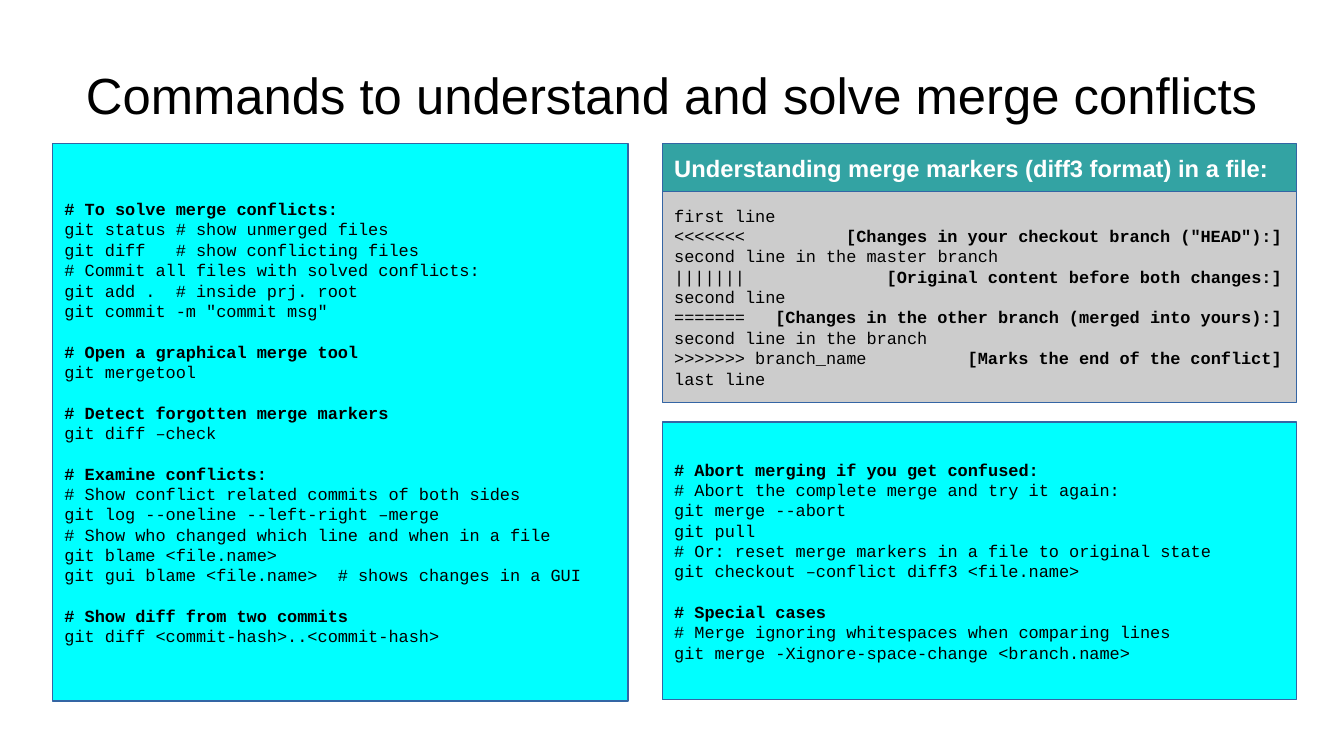
from lxml.etree import SubElement
from pptx import Presentation
from pptx.dml.color import RGBColor
from pptx.enum.shapes import MSO_SHAPE
from pptx.enum.text import MSO_ANCHOR, PP_ALIGN
from pptx.oxml.ns import qn
from pptx.util import Inches, Pt

BLACK = RGBColor(0x00, 0x00, 0x00)
WHITE = RGBColor(0xFF, 0xFF, 0xFF)
CYAN = RGBColor(0x00, 0xFF, 0xFF)
TEAL = RGBColor(0x33, 0xA3, 0xA3)
GREY = RGBColor(0xCC, 0xCC, 0xCC)
BLUE = RGBColor(0x34, 0x65, 0xA4)

# Each group: a bold heading and its commands
SOLVE = [
    ("# To solve merge conflicts:", [
        "git status # show unmerged files",
        "git diff   # show conflicting files",
        "# Commit all files with solved conflicts:",
        "git add .  # inside prj. root",
        'git commit -m "commit msg"']),
    ("# Open a graphical merge tool", ["git mergetool"]),
    ("# Detect forgotten merge markers", ["git diff –check"]),
    ("# Examine conflicts:", [
        "# Show conflict related commits of both sides",
        "git log --oneline --left-right –merge",
        "# Show who changed which line and when in a file",
        "git blame <file.name>",
        "git gui blame <file.name>  # shows changes in a GUI"]),
    ("# Show diff from two commits", ["git diff <commit-hash>..<commit-hash>"]),
]
ABORT = [
    ("# Abort merging if you get confused:", [
        "# Abort the complete merge and try it again:",
        "git merge --abort",
        "git pull",
        "# Or: reset merge markers in a file to original state",
        "git checkout –conflict diff3 <file.name>"]),
    ("# Special cases", [
        "# Merge ignoring whitespaces when comparing lines",
        "git merge -Xignore-space-change <branch.name>"]),
]
# Each line of the sample file and its note
MARKS = [
    ("first line", ""),
    ("<<<<<<<", '[Changes in your checkout branch ("HEAD"):]'),
    ("second line in the master branch", ""),
    ("|||||||", "[Original content before both changes:]"),
    ("second line", ""),
    ("=======", "[Changes in the other branch (merged into yours):]"),
    ("second line in the branch", ""),
    (">>>>>>> branch_name", "[Marks the end of the conflict]"),
    ("last line", ""),
]


class Deck:
    sans, mono = "Arial", "Courier New"
    code, gap = Pt(10), Pt(12)

    def __init__(self, width, height):
        self.prs = Presentation()
        self.prs.slide_width = Inches(width)
        self.prs.slide_height = Inches(height)
        self.slide = self.prs.slides.add_slide(self.prs.slide_layouts[6])

    def run(self, para, text, face, size, color=BLACK, bold=False):
        run = para.add_run()
        run.text = text
        font = run.font
        font.name, font.size, font.bold = face, size, bold
        font.color.rgb = color

    def line(self, frame, first):
        para = frame.paragraphs[0] if first else frame.add_paragraph()
        para.alignment = PP_ALIGN.LEFT
        return para

    def title(self, text, *area):
        frame = self.slide.shapes.add_textbox(*map(Inches, area)).text_frame
        frame.word_wrap = True
        frame.vertical_anchor = MSO_ANCHOR.MIDDLE
        frame.margin_left = frame.margin_right = 0
        frame.margin_top = frame.margin_bottom = 0
        para = self.line(frame, True)
        para.alignment = PP_ALIGN.CENTER
        self.run(para, text, self.sans, Pt(30))

    def panel(self, fill, *area):
        box = self.slide.shapes.add_shape(MSO_SHAPE.RECTANGLE, *map(Inches, area))
        box.shadow.inherit = False
        box.fill.solid()
        box.fill.fore_color.rgb = fill
        box.line.color.rgb = BLUE
        box.line.width = Pt(0)
        frame = box.text_frame
        frame.word_wrap = True
        frame.vertical_anchor = MSO_ANCHOR.MIDDLE
        return frame

    def header(self, text, *area):
        para = self.line(self.panel(TEAL, *area), True)
        self.run(para, text, self.sans, Pt(14), WHITE, True)

    def groups(self, items, *area):
        frame = self.panel(CYAN, *area)
        for num, (head, lines) in enumerate(items):
            para = self.line(frame, num == 0)
            if num:
                para.space_before = self.gap
            self.run(para, head, self.mono, self.code, bold=True)
            for text in lines:
                self.run(self.line(frame, False), text, self.mono, self.code)

    def marks(self, items, stop, *area):
        frame = self.panel(GREY, *area)
        for num, (text, note) in enumerate(items):
            para = self.line(frame, num == 0)
            self.run(para, text, self.mono, self.code)
            if note:
                # Notes end at a right tab
                tabs = SubElement(para._p.get_or_add_pPr(), qn("a:tabLst"))
                SubElement(tabs, qn("a:tab"), pos=str(Inches(stop)), algn="r")
                self.run(para, "\t" + note, self.mono, self.code, bold=True)


def main():
    deck = Deck(11.02, 6.2)
    left, right, top, wide = 0.43, 5.43, 1.18, 5.2

    # Title
    deck.title("Commands to understand and solve merge conflicts", 0.55, 0.25, 9.92, 1.04)

    # Left column
    deck.groups(SOLVE, left, top, 4.72, 4.57)

    # Right column
    deck.marks(MARKS, 4.98, right, 1.57, wide, 1.73)
    deck.header("Understanding merge markers (diff3 format) in a file:", right, top, wide, 0.39)
    deck.groups(ABORT, right, 3.46, wide, 2.28)

    deck.prs.save("out.pptx")


if __name__ == "__main__":
    main()
